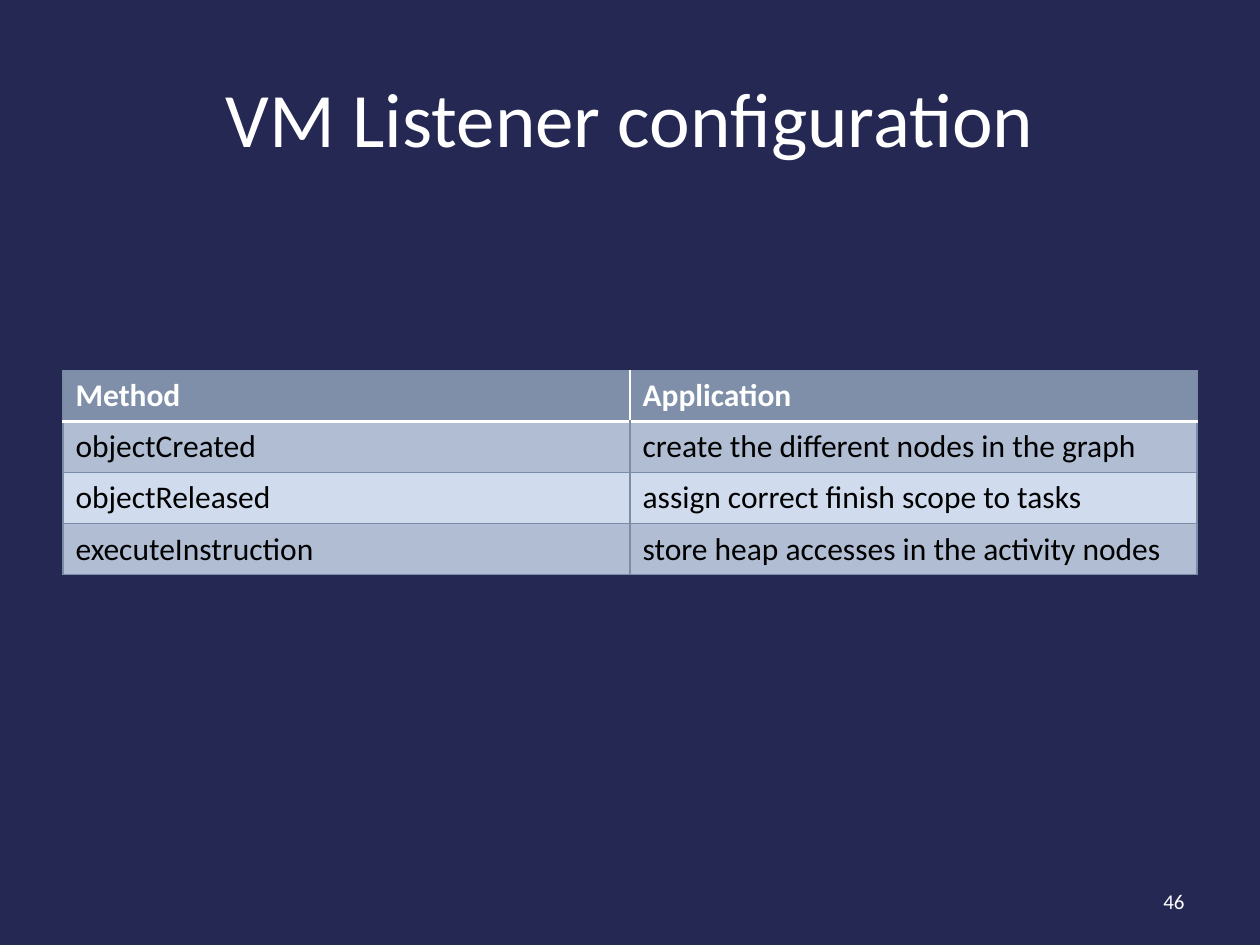
from dataclasses import dataclass

from lxml import etree
from pptx import Presentation
from pptx.dml.color import RGBColor
from pptx.enum import text
from pptx.oxml.ns import qn
from pptx.util import Inches, Pt


@dataclass(frozen=True)
class Theme:
    font: str = "Calibri"
    background: str = "242852"
    light: str = "FFFFFF"
    dark: str = "000000"
    header: str = "7F8FA9"
    bands: tuple[str, str] = ("B0BDD2", "D0DCEE")
    border: str = "7B8CA6"
    title_size: float = 44
    table_size: float = 18
    number_size: float = 12


@dataclass(frozen=True)
class Listener:
    method: str
    application: str


THEME = Theme()
LISTENERS = [
    Listener("objectCreated", "create the different nodes in the graph"),
    Listener("objectReleased", "assign correct finish scope to tasks"),
    Listener("executeInstruction", "store heap accesses in the activity nodes"),
]


def write(tf, words: str, size: float, color: str, align, bold: bool = False) -> None:
    p = tf.paragraphs[0]
    p.alignment = align
    r = p.add_run()
    r.text = words
    r.font.name = THEME.font
    r.font.size = Pt(size)
    r.font.bold = bold
    r.font.color.rgb = RGBColor.from_string(color)


def set_borders(cell, edges: dict[str, tuple[str, float]]) -> None:
    """Add edge lines ahead of the fill, in schema order L, R, T, B."""
    tc_pr = cell._tc.get_or_add_tcPr()
    present = [side for side in "LRTB" if side in edges]
    for i, side in enumerate(present):
        color, width = edges[side]
        ln = etree.Element(qn(f"a:ln{side}"), w=str(Pt(width)))
        fill = etree.SubElement(ln, qn("a:solidFill"))
        etree.SubElement(fill, qn("a:srgbClr"), val=color)
        tc_pr.insert(i, ln)


def add_listener_table(s, listeners: list[Listener]) -> None:
    rows = [Listener("Method", "Application"), *listeners]
    row_height = Inches(0.405)
    table = s.shapes.add_table(len(rows), 2, Inches(0.5), Inches(2.94),
                               Inches(9), row_height * len(rows)).table
    thin, rule = (THEME.border, 0.75), (THEME.light, 2)
    for i, row in enumerate(rows):
        table.rows[i].height = row_height
        is_header = i == 0
        fill = THEME.header if is_header else THEME.bands[(i - 1) % 2]
        color = THEME.light if is_header else THEME.dark
        for j, words in enumerate((row.method, row.application)):
            cell = table.cell(i, j)
            cell.fill.solid()
            cell.fill.fore_color.rgb = RGBColor.from_string(fill)
            write(cell.text_frame, words, THEME.table_size, color,
                  text.PP_ALIGN.LEFT, is_header)
            edges = dict.fromkeys("LRTB", thin)
            if is_header:
                edges["B"] = rule
                del edges["R" if j == 0 else "L"]
            elif i == 1:
                edges["T"] = rule
            set_borders(cell, edges)


def main() -> None:
    prs = Presentation()
    prs.slide_width, prs.slide_height = Inches(10), Inches(7.5)
    s = prs.slides.add_slide(prs.slide_layouts[5])
    s.background.fill.solid()
    s.background.fill.fore_color.rgb = RGBColor.from_string(THEME.background)

    # Title
    sp = s.shapes.title
    sp.left, sp.top, sp.width, sp.height = map(Inches, (0.5, 0.3, 9, 1.25))
    sp.text_frame.vertical_anchor = text.MSO_ANCHOR.MIDDLE
    write(sp.text_frame, "VM Listener configuration", THEME.title_size,
          THEME.light, text.PP_ALIGN.CENTER)

    # Listener methods
    add_listener_table(s, LISTENERS)

    # Slide number
    sp = s.shapes.add_textbox(*map(Inches, (7.17, 6.95, 2.33, 0.4)))
    tf = sp.text_frame
    tf.word_wrap = True
    tf.vertical_anchor = text.MSO_ANCHOR.MIDDLE
    write(tf, "46", THEME.number_size, THEME.light, text.PP_ALIGN.RIGHT)

    prs.save("out.pptx")


if __name__ == "__main__":
    main()
